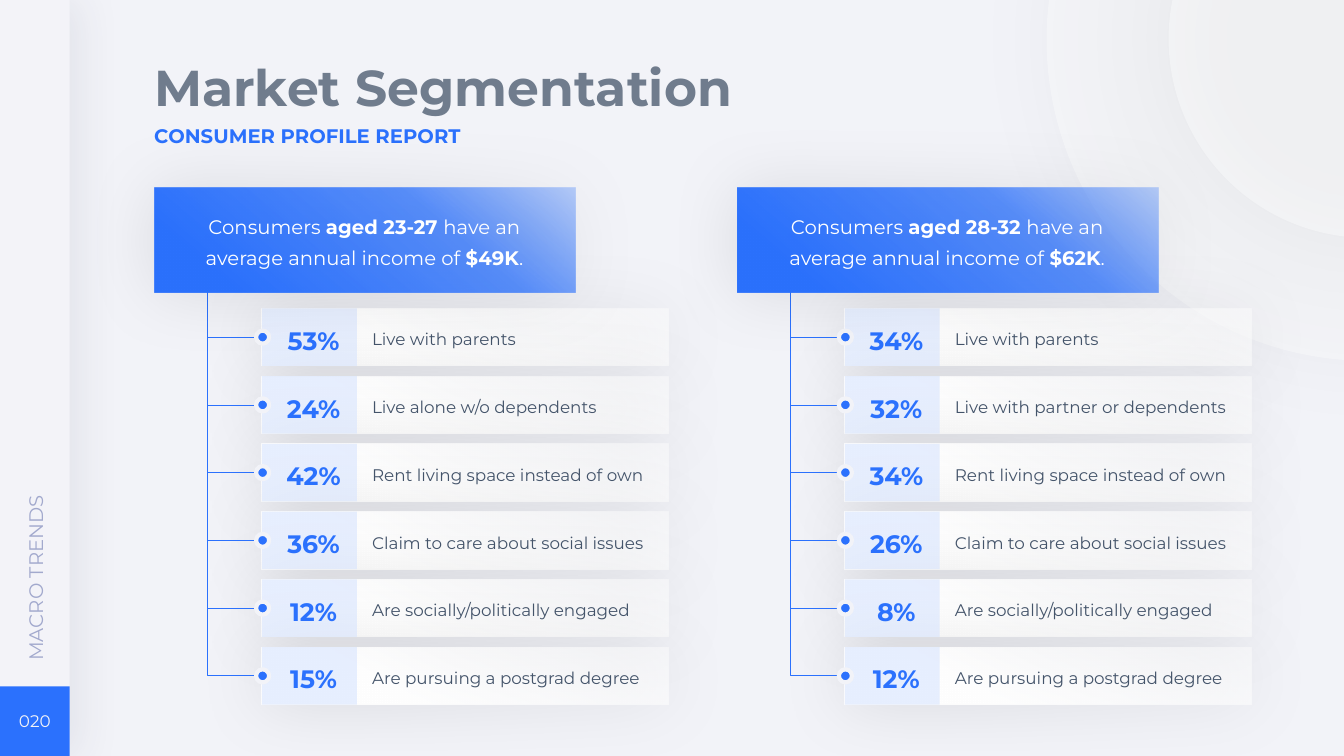
"""Build the market segmentation slide with two consumer profiles."""
from lxml.etree import SubElement
from pptx import Presentation
from pptx.dml.color import RGBColor
from pptx.enum.shapes import MSO_CONNECTOR, MSO_SHAPE
from pptx.enum.text import MSO_ANCHOR, PP_ALIGN
from pptx.oxml.ns import qn
from pptx.util import Inches, Pt

COLORS = {
    "background": "F2F3F8", "sidebar": "F3F3F8", "blue": "2B71FD", "tint": "D5E3FF",
    "title": "707C8D", "body": "44546A", "section": "A2A9CD", "white": "FFFFFF",
    "black": "000000", "navy": "2B3150",
}
FONT = "Montserrat"
CARD_STOPS = [(0, "white", 47), (72, "white", 100)]
HEADER_STOPS = [(0, "blue", 30), (32, "blue", 76), (85, "blue", 100)]
SOFT_SHADOW = ("black", 10, 50, 0)
CIRCLE_SHADOW = ("black", 10, 60, 0)
SIDEBAR_SHADOW = ("navy", 7, 30, 7)
PROFILES = [
    ("aged 23-27 ", "$49K", [
        ("53%", "Live with parents"),
        ("24%", "Live alone w/o dependents"),
        ("42%", "Rent living space instead of own"),
        ("36%", "Claim to care about social issues"),
        ("12%", "Are socially/politically engaged"),
        ("15%", "Are pursuing a postgrad degree"),
    ]),
    ("aged 28-32 ", "$62K", [
        ("34%", "Live with parents"),
        ("32%", "Live with partner or dependents"),
        ("34%", "Rent living space instead of own"),
        ("26%", "Claim to care about social issues"),
        ("8%", "Are socially/politically engaged"),
        ("12%", "Are pursuing a postgrad degree"),
    ]),
]
FIRST_LEFT, COLUMN_PITCH = 1.53, 5.78
FIRST_TOP, ROW_PITCH, ROW_HEIGHT = 3.06, 0.672, 0.57
TRUNK_TOP, BRANCH, DOT = 2.86, 0.48, 0.13


def add_panel(shapes, kind, left, top, width, height, color="white", alpha=100,
              stops=None, angle=0, shadow=None):
    shape = shapes.add_shape(kind, Inches(left), Inches(top), Inches(width), Inches(height))
    shape.line.fill.background()
    shape.shadow.inherit = False
    properties = shape._element.spPr
    if stops:
        shape.fill.gradient()
        shape.fill.gradient_angle = 360 - angle
        stop_list = properties.find(".//" + qn("a:gsLst"))
        for stop in list(stop_list):
            stop_list.remove(stop)
        for position, name, opacity in stops:
            stop = SubElement(stop_list, qn("a:gs"), pos=str(position * 1000))
            stop_color = SubElement(stop, qn("a:srgbClr"), val=COLORS[name])
            SubElement(stop_color, qn("a:alpha"), val=str(opacity * 1000))
    else:
        shape.fill.solid()
        shape.fill.fore_color.rgb = RGBColor.from_string(COLORS[color])
        if alpha < 100:
            fill_color = properties.find(qn("a:solidFill") + "/" + qn("a:srgbClr"))
            SubElement(fill_color, qn("a:alpha"), val=str(alpha * 1000))
    if shadow:
        name, opacity, blur, distance = shadow
        outer = SubElement(properties.find(qn("a:effectLst")), qn("a:outerShdw"),
                           blurRad=str(Pt(blur)), dist=str(Pt(distance)), dir="0",
                           algn="ctr", rotWithShape="0")
        shadow_color = SubElement(outer, qn("a:srgbClr"), val=COLORS[name])
        SubElement(shadow_color, qn("a:alpha"), val=str(opacity * 1000))
    return shape


def add_label(left, top, width, height, runs, size, color, bold=None,
              align=PP_ALIGN.LEFT, spacing=1.0, anchor=MSO_ANCHOR.MIDDLE, inset=0):
    box = slide.shapes.add_textbox(Inches(left), Inches(top), Inches(width), Inches(height))
    frame = box.text_frame
    frame.word_wrap = True
    frame.vertical_anchor = anchor
    frame.margin_left = frame.margin_right = Inches(inset)
    paragraph = frame.paragraphs[0]
    paragraph.alignment = align
    paragraph.line_spacing = spacing
    paragraph.font.name = FONT
    paragraph.font.size = Pt(size)
    paragraph.font.bold = bold
    paragraph.font.color.rgb = RGBColor.from_string(COLORS[color])
    for text, run_bold in runs:
        run = paragraph.add_run()
        run.text = text
        run.font.bold = run_bold
    return box


presentation = Presentation()
presentation.slide_width = Inches(13.33)
presentation.slide_height = Inches(7.5)
slide = presentation.slides.add_slide(presentation.slide_layouts[6])
slide.background.fill.solid()
slide.background.fill.fore_color.rgb = RGBColor.from_string(COLORS["background"])

add_panel(slide.shapes, MSO_SHAPE.OVAL, 10.38, -2.79, 6.37, 6.37, alpha=32, shadow=CIRCLE_SHADOW)
add_panel(slide.shapes, MSO_SHAPE.OVAL, 11.59, -1.59, 3.95, 3.95, alpha=39, shadow=CIRCLE_SHADOW)
add_panel(slide.shapes, MSO_SHAPE.RECTANGLE, 0, 0, 0.69, 7.5, "sidebar", shadow=SIDEBAR_SHADOW)
add_panel(slide.shapes, MSO_SHAPE.RECTANGLE, 0, 6.81, 0.69, 0.69, "blue")
add_label(0.1, 6.99, 0.49, 0.33, [("020", None)], 12, "background", align=PP_ALIGN.CENTER)
add_label(1.53, 1.16, 5.1, 0.41, [("CONSUMER PROFILE REPORT", None)], 14, "blue", True, spacing=0.9)
section = add_label(-1.55, 4.45, 3.8, 0.41, [("MACRO TRENDS", None)], 14, "section")
section.rotation = 270
add_label(1.53, 0.58, 6.93, 0.53, [("Market Segmentation", None)], 36, "title", True,
          spacing=0.9, anchor=MSO_ANCHOR.TOP)

for column, (age, income, facts) in enumerate(PROFILES):
    left = FIRST_LEFT + column * COLUMN_PITCH
    card_left = left + 1.07
    trunk_left = left + 0.53
    row_tops = [FIRST_TOP + row * ROW_PITCH for row in range(len(facts))]

    cards = slide.shapes.add_group_shape()
    for top in row_tops:
        add_panel(cards.shapes, MSO_SHAPE.RECTANGLE, card_left, top, 4.03, ROW_HEIGHT,
                  stops=CARD_STOPS, angle=120, shadow=SOFT_SHADOW)

    for top, (share, fact) in zip(row_tops, facts):
        middle = top + ROW_HEIGHT / 2
        add_panel(slide.shapes, MSO_SHAPE.RECTANGLE, card_left, top, 0.94, ROW_HEIGHT, "tint", 56)

        drop = middle - TRUNK_TOP
        branch_left = trunk_left + (BRANCH - drop) / 2
        branch_top = TRUNK_TOP + (drop - BRANCH) / 2
        branch = slide.shapes.add_connector(
            MSO_CONNECTOR.ELBOW, Inches(branch_left), Inches(branch_top),
            Inches(branch_left + drop), Inches(branch_top + BRANCH))
        branch.line.color.rgb = RGBColor.from_string(COLORS["blue"])
        branch.line.width = Pt(0.5)
        properties = branch._element.spPr
        properties.find(qn("a:prstGeom")).set("prst", "bentConnector2")
        properties.find(qn("a:xfrm")).set("rot", "16200000")
        properties.find(qn("a:xfrm")).set("flipH", "1")
        SubElement(properties, qn("a:effectLst"))

        dot = add_panel(slide.shapes, MSO_SHAPE.OVAL, trunk_left + BRANCH, middle - DOT / 2,
                        DOT, DOT, "blue")
        dot.line.color.rgb = RGBColor.from_string(COLORS["background"])
        dot.line.width = Pt(3)
        add_label(left + 2.16, top + 0.04, 2.73, 0.49, [(fact, None)], 12, "body", spacing=1.2)
        add_label(left + 1.14, top + 0.04, 0.88, 0.49, [(share, None)], 18, "blue", True,
                  PP_ALIGN.CENTER, 1.2)

    add_panel(slide.shapes, MSO_SHAPE.RECTANGLE, left, 1.86, 4.18, 1.04,
              stops=HEADER_STOPS, angle=130, shadow=SOFT_SHADOW)
    summary = [("Consumers ", None), (age, True), ("have an average annual income of ", None),
               (income, True), (".", None)]
    add_label(left + 0.12, 2.01, 3.93, 0.69, summary, 14, "white", align=PP_ALIGN.CENTER,
              spacing=Pt(22), anchor=MSO_ANCHOR.TOP, inset=0.1)

presentation.save("out.pptx")
